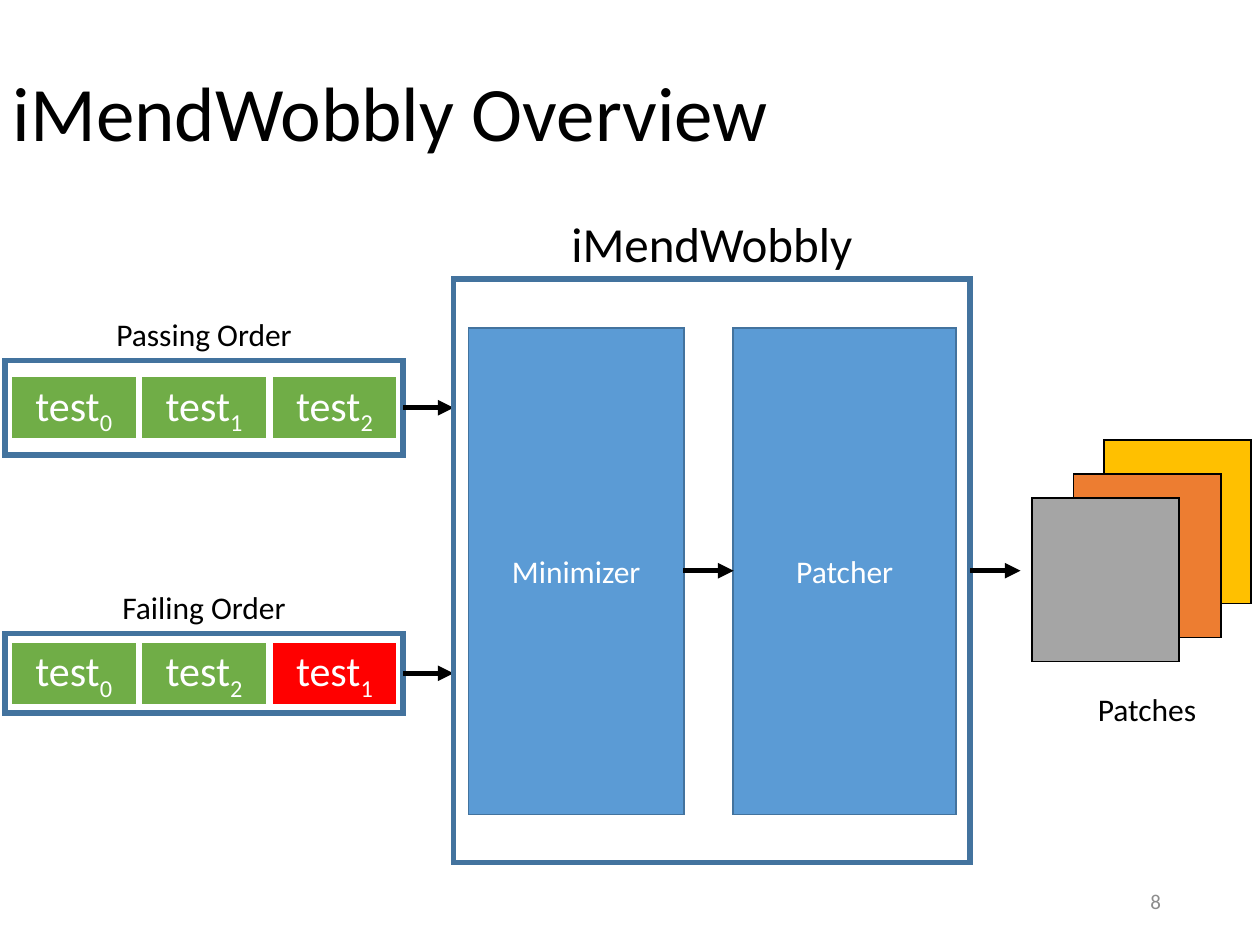
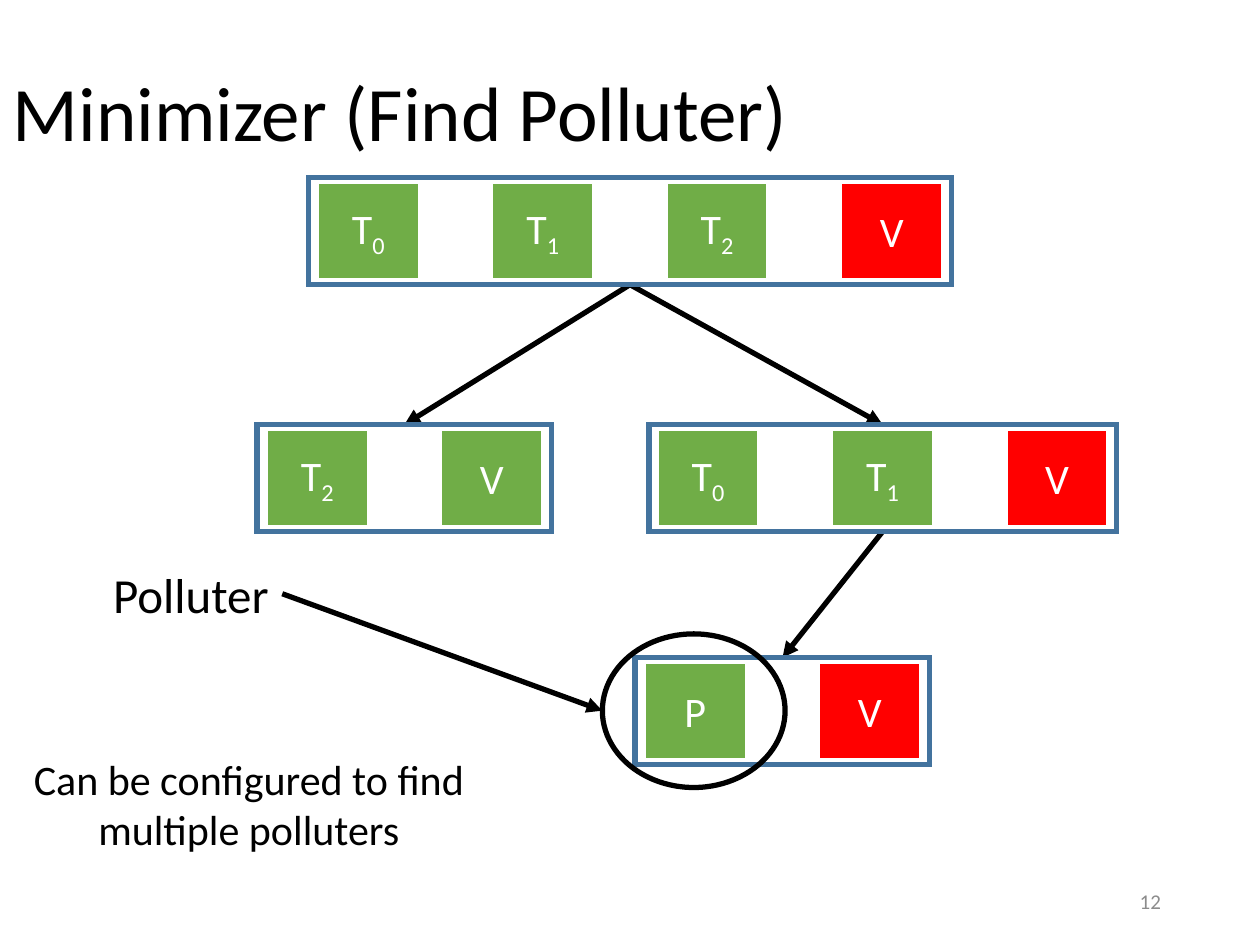
from lxml.etree import SubElement
from pptx import Presentation
from pptx.dml.color import RGBColor
from pptx.enum.shapes import MSO_CONNECTOR as Connector, MSO_SHAPE as Shape
from pptx.enum.text import MSO_ANCHOR as Anchor, PP_ALIGN as Align
from pptx.oxml.ns import qn
from pptx.util import Pt

FONT = "Calibri"
TOOL = "iMendWobbly"
BLACK, WHITE, GREY = "000000", "FFFFFF", "8C8C8C"
FRAME, PHASE = "43739E", "5B9BD5"
PASS, FAIL = "70AD47", "FF0000"
PATCHES = ("FFC000", "ED7D31", "A5A5A5")
TITLE_BOX = (0, 0, 720, 133)
NUMBER_BOX = (508.5, 500.5, 162, 28.75)
SMALL_TILE = (69.8, 33.8)
LARGE_TILE = (55.4, 52.6)


def color(value):
    """Turn a hex string into a colour."""
    return RGBColor.from_string(value)


def in_points(box):
    """Turn a tuple of numbers into lengths in points."""
    return [Pt(length) for length in box]


def place(shape, box):
    """Move and size a shape to the box."""
    shape.left, shape.top, shape.width, shape.height = in_points(box)


def write(shape, text, size, ink, align=Align.CENTER, anchor=Anchor.MIDDLE):
    """Set and format the text of a shape."""
    frame = shape.text_frame
    frame.text = text
    frame.vertical_anchor = anchor
    for paragraph in frame.paragraphs:
        paragraph.alignment = align
        for run in paragraph.runs:
            style_run(run, size, ink)


def style_run(run, size, ink):
    """Give a run its font, size and colour."""
    run.font.name, run.font.size = FONT, Pt(size)
    run.font.color.rgb = color(ink)


def add_label(slide, box, text, size, ink=BLACK, align=Align.CENTER, anchor=Anchor.TOP):
    """Add a text box that keeps its own line breaks."""
    label = slide.shapes.add_textbox(*in_points(box))
    label.text_frame.word_wrap = False
    write(label, text, size, ink, align, anchor)


def add_block(slide, box, fill=None, line=FRAME, weight=1, kind=Shape.RECTANGLE):
    """Add a sharp-cornered outlined shape, filled or hollow."""
    block = slide.shapes.add_shape(kind, *in_points(box))
    block.shadow.inherit = False
    if fill:
        block.fill.solid()
        block.fill.fore_color.rgb = color(fill)
    else:
        block.fill.background()
    block.line.color.rgb = color(line)
    block.line.width = Pt(weight)
    SubElement(block.line._get_or_add_ln(), qn("a:miter"), lim="800000")
    return block


def add_arrow(slide, start, end):
    """Add a straight black arrow between two points."""
    arrow = slide.shapes.add_connector(Connector.STRAIGHT, *in_points(start + end))
    arrow.line.color.rgb = color(BLACK)
    arrow.line.width = Pt(3)
    SubElement(arrow.line._get_or_add_ln(), qn("a:tailEnd"), type="triangle")
    SubElement(arrow._element.spPr, qn("a:effectLst"))


def add_test(slide, box, name, fill):
    """Add a test tile, with a final digit of its name as subscript."""
    tile = add_block(slide, box, fill, fill)
    stem = name.rstrip("0123456789")
    write(tile, stem, 24, WHITE)
    if name != stem:
        index = tile.text_frame.paragraphs[0].add_run()
        index.text = name[len(stem):]
        style_run(index, 24, WHITE)
        index._r.get_or_add_rPr().set("baseline", "-25000")


def add_test_order(slide, box, names, tile, gap, last=FAIL):
    """Centre a row of test tiles in a framed box."""
    left, top, width, height = box
    tile_width, tile_height = tile
    pitch = tile_width + gap
    first = left + (width - pitch * len(names) + gap) / 2
    for position, name in enumerate(names):
        fill = last if position == len(names) - 1 else PASS
        tile_box = (first + position * pitch, top + (height - tile_height) / 2, *tile)
        add_test(slide, tile_box, name, fill)
    add_block(slide, box, weight=3)


def add_input_order(slide, box, caption, names, last):
    """Add a captioned test order with an arrow leading out of it."""
    left, top, width, height = box
    add_label(slide, (left, top - 29.5, width, 29), caption, 18)
    add_test_order(slide, box, names, SMALL_TILE, 4.7, last)
    middle = top + height / 2
    add_arrow(slide, (left + width, middle), (left + width + 28.8, middle))


def add_tool(slide, box):
    """Add the tool frame with its two phases and the arrows after them."""
    left, top, width, height = box
    add_label(slide, (left, top - 41, width, 41), TOOL, 28)
    phases = (("Minimizer", 8.6, 123), ("Patcher", 159.8, 127.5))
    for name, offset, phase_width in phases:
        phase_box = (left + offset, top + 28, phase_width, 278)
        write(add_block(slide, phase_box, PHASE), name, 18, WHITE)
    add_block(slide, box, weight=3)
    middle = top + height / 2
    for offset in (131.2, width):
        add_arrow(slide, (left + offset, middle), (left + offset + 28.8, middle))


def add_patches(slide, box):
    """Add the stack of patches and its caption."""
    left, top, width, height = box
    offsets = ((41, 0), (23.8, 19.4), (0, 33.1))
    for fill, (across, down) in zip(PATCHES, offsets):
        sheet = (left + across, top + down, 84.2, 93.6)
        add_block(slide, sheet, fill, BLACK)
    add_label(slide, (left + 30, top + height + 13, 71.5, 29), "Patches", 18)


def add_titled_slide(presentation, title, number):
    """Add a slide with the shared title and slide number."""
    slide = presentation.slides.add_slide(presentation.slide_layouts[5])
    heading = slide.shapes.title
    place(heading, TITLE_BOX)
    write(heading, title, 44, BLACK, Align.LEFT)
    heading.text_frame.paragraphs[0].line_spacing = 0.9
    add_label(slide, NUMBER_BOX, number, 12, GREY, Align.RIGHT, Anchor.MIDDLE)
    return slide


def build_overview(presentation):
    """Build the slide that shows the tool from test orders to patches."""
    slide = add_titled_slide(presentation, f"{TOOL} Overview", "8")
    passing = ("test0", "test1", "test2")
    failing = ("test0", "test2", "test1")
    add_input_order(slide, (2.9, 206, 227.5, 54), "Passing Order", passing, PASS)
    add_input_order(slide, (2.9, 362, 227.5, 45.5), "Failing Order", failing, FAIL)
    add_patches(slide, (589.7, 251.3, 125.2, 126.7))
    add_tool(slide, (259.2, 159.4, 295.2, 333.5))


def build_minimizer(presentation):
    """Build the slide that narrows a failing order down to its polluter."""
    slide = add_titled_slide(presentation, "Minimizer (Find Polluter)", "12")
    whole, left_half, right_half, found = (
        (176.4, 101.5, 367.2, 61.2),
        (146.9, 242.6, 168.5, 61.2),
        (370.8, 242.6, 267.1, 61.2),
        (362.9, 375.8, 168.5, 61.2),
    )
    steps = ((whole, left_half), (whole, right_half), (right_half, found))
    for parent, child in steps:
        start = (parent[0] + parent[2] / 2, parent[1] + parent[3])
        add_arrow(slide, start, (child[0] + child[2] / 2, child[1]))
    orders = (
        (whole, ("T0", "T1", "T2", "V"), FAIL),
        (left_half, ("T2", "V"), PASS),
        (right_half, ("T0", "T1", "V"), FAIL),
        (found, ("P", "V"), FAIL),
    )
    for box, names, last in orders:
        add_test_order(slide, box, names, LARGE_TILE, 44.3, last)
    ring = (344.2, 362.2, 104.4, 87.8)
    add_block(slide, ring, line=BLACK, weight=3, kind=Shape.OVAL)
    add_label(slide, (56.9, 319, 104.4, 41), "Polluter", 28)
    add_arrow(slide, (161.3, 339.3), (ring[0], ring[1] + ring[3] / 2))
    note = "Can be configured to find\nmultiple polluters"
    add_label(slide, (10.8, 427, 262.8, 65.5), note, 24)


presentation = Presentation()
presentation.slide_width, presentation.slide_height = Pt(720), Pt(540)
build_overview(presentation)
build_minimizer(presentation)
presentation.save("out.pptx")
